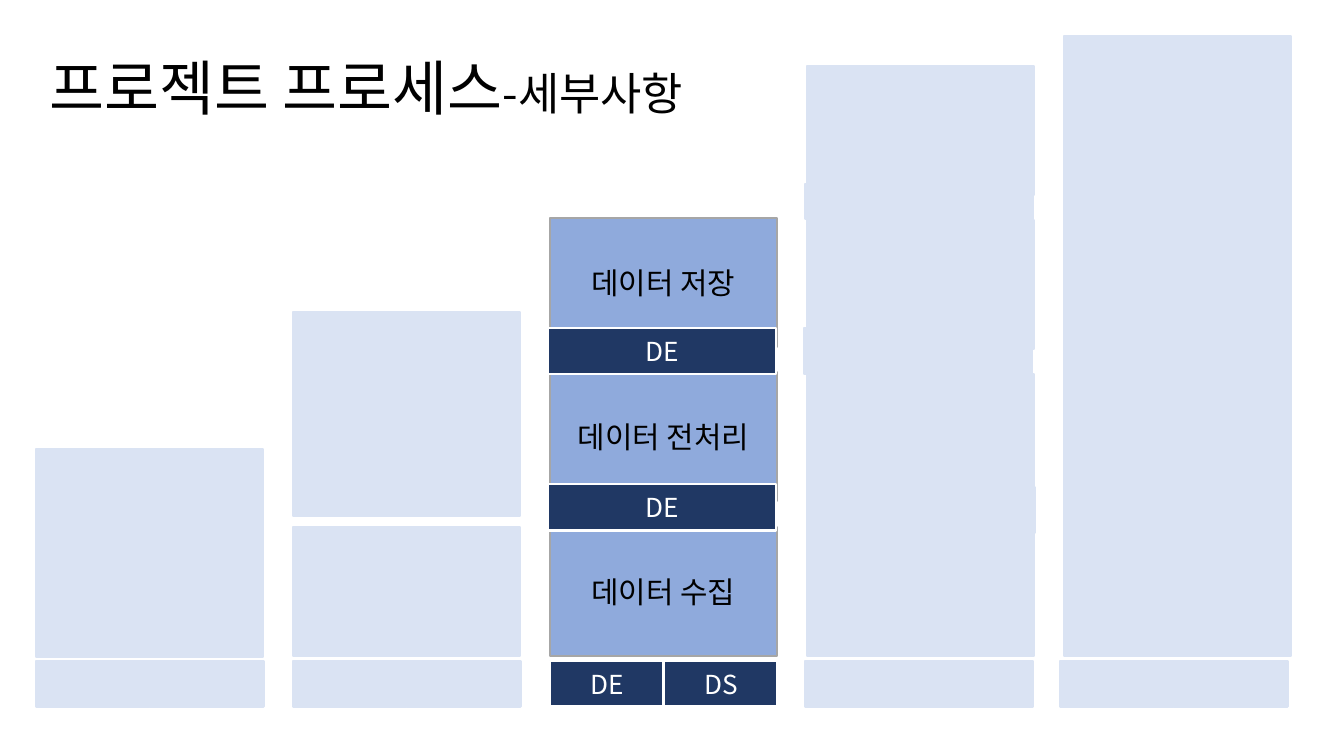
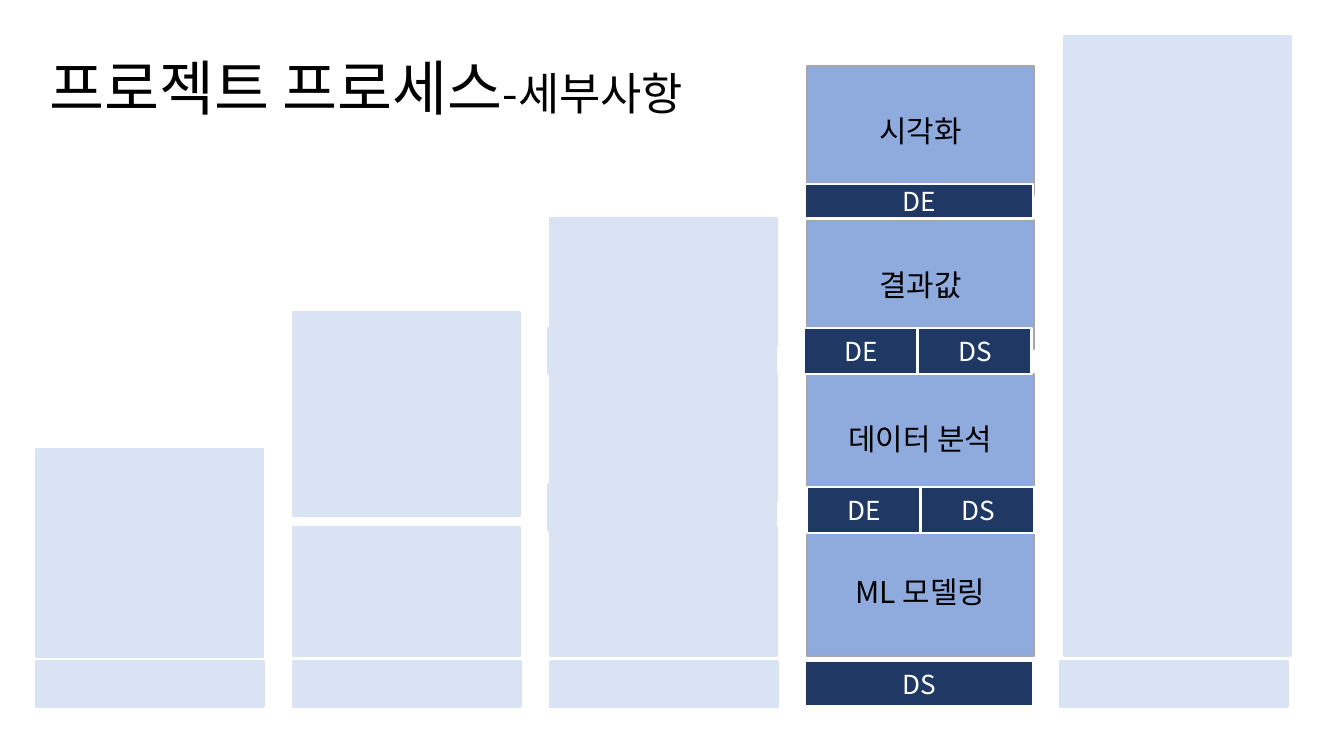
import pptx
import pptx.util
import pptx.dml.color
import pptx.enum.shapes
import pptx.enum.text

SCALE = 914400 / 134.4
FONT = "Noto Sans CJK KR"
BLACK, WHITE = "000000", "FFFFFF"
PALE, BLUE, NAVY, GREY = "DAE3F3", "8FAADC", "203864", "A6A6A6"

LEFT, STEP, WIDE = 36, 257, 227
BASE, TILE = 527, 129
FOOT, BAND = 661, 46

# Tiles: label, top, height. Bands: roles, shift, top, height.
STAIRS = [
    ([("", 449, 208)], [(("DE", "DS"), 0, FOOT, BAND)]),
    ([("", BASE, TILE), ("", 312, 204)], [(("DE", "DS"), 0, FOOT, BAND)]),
    ([("데이터 수집", BASE, TILE), ("데이터 전처리", 372, TILE),
      ("데이터 저장", 218, TILE)],
     [(("DE", "DS"), 0, FOOT, BAND), (("DE",), -2, 484, 47),
      (("DE",), -2, 328, BAND)]),
    ([("ML 모델링", BASE, TILE), ("데이터 분석", 374, TILE),
      ("결과값", 220, TILE), ("시각화", 66, TILE)],
     [(("DS",), -2, FOOT, BAND), (("DE",), -2, 184, 35),
      (("DE", "DS"), 0, 487, BAND), (("DE", "DS"), -3, 328, BAND)]),
    ([("", 36, 620)], [(("DE", "DS"), -4, FOOT, BAND)]),
]


def px(size):
    return round(size * SCALE)


def paint(code):
    return pptx.dml.color.RGBColor.from_string(code)


def write(para, text, size=16, color=BLACK, align=None):
    para.alignment = align
    run = para.add_run()
    run.text = text
    run.font.size = pptx.util.Pt(size)
    run.font.name = FONT
    run.font.color.rgb = paint(color)


def block(slide, box, fill, edge, weight, text="", **style):
    kind = pptx.enum.shapes.MSO_SHAPE.RECTANGLE
    shape = slide.shapes.add_shape(kind, *map(px, box))
    shape.shadow.inherit = False
    shape.fill.solid()
    shape.fill.fore_color.rgb = paint(fill)
    shape.line.color.rgb = paint(edge)
    shape.line.width = pptx.util.Pt(weight)
    if text:
        frame = shape.text_frame
        frame.vertical_anchor = pptx.enum.text.MSO_ANCHOR.MIDDLE
        write(frame.paragraphs[0], text,
              align=pptx.enum.text.PP_ALIGN.CENTER, **style)


def band(slide, box, roles, lit):
    left, top, wide, high = box
    part = wide // len(roles)
    fill, edge = (NAVY, WHITE) if lit else (PALE, PALE)
    for spot, role in enumerate(roles):
        block(slide, (left + spot * part, top, part, high), fill, edge, 1.5,
              role if lit else "", size=14, color=WHITE)


def stair(slide, left, tiles, bands, lit):
    fill, edge = (BLUE, GREY) if lit else (PALE, PALE)
    for label, top, high in tiles:
        block(slide, (left, top, WIDE, high), fill, edge, 1,
              label if lit else "")
    for roles, shift, top, high in bands:
        band(slide, (left + shift, top, WIDE + 1, high), roles, lit)


def title(slide, box):
    frame = slide.shapes.add_textbox(*map(px, box)).text_frame
    frame.word_wrap = True
    para = frame.paragraphs[0]
    write(para, "프로젝트 프로세스", size=32)
    write(para, "-세부사항", size=24)


def stage(deck, focus):
    slide = deck.slides.add_slide(deck.slide_layouts[6])
    for spot, (tiles, bands) in enumerate(STAIRS):
        if spot != focus:
            stair(slide, LEFT + spot * STEP, tiles, bands, False)
    title(slide, (LEFT, 44, 665, 86))
    stair(slide, LEFT + focus * STEP, *STAIRS[focus], True)


def main():
    deck = pptx.Presentation()
    deck.slide_width, deck.slide_height = px(1344), px(756)
    for focus in (2, 3):
        stage(deck, focus)
    deck.save("out.pptx")


if __name__ == "__main__":
    main()
